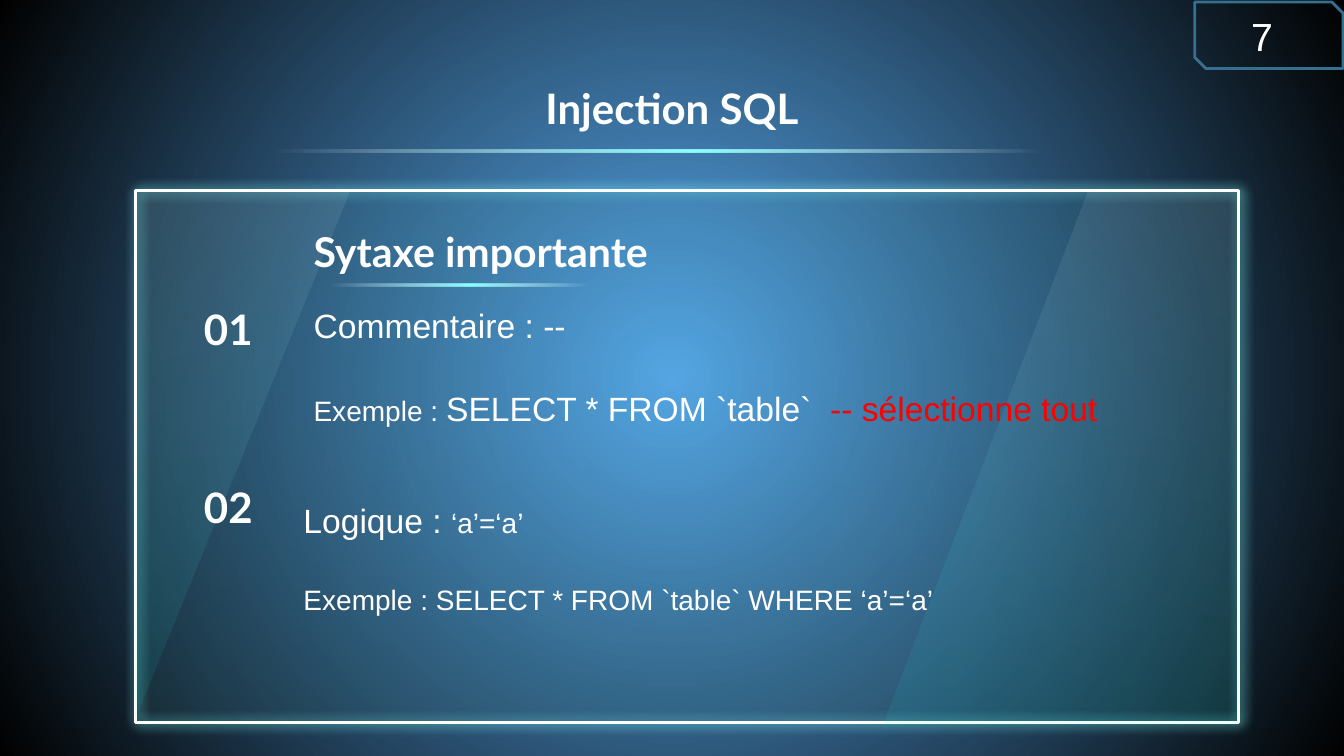
"""Build the "Injection SQL" slide with its glowing panel and two syntax notes."""
from pptx import Presentation
from pptx.dml.color import RGBColor
from pptx.enum.shapes import MSO_SHAPE
from pptx.enum.text import MSO_ANCHOR, MSO_AUTO_SIZE, PP_ALIGN
from pptx.oxml import parse_xml
from pptx.oxml.ns import nsdecls, qn
from pptx.util import Pt

PX = 9144
COLORS = {
    "white": "FFFFFF", "red": "FF0000", "sky": "58ABF1", "black": "010101",
    "navy": "0A3250", "cyan": "00FFFF", "aqua": "8CFFFF", "glow": "7EFFFF",
    "steel": "37708F",
}
CIRCLE = '<a:path path="circle"><a:fillToRect l="50000" t="50000" r="50000" b="50000"/></a:path>'


def gradient(stops, angle=None):
    marks = "".join(
        f'<a:gs pos="{place * 1000}"><a:srgbClr val="{COLORS[color]}">'
        f'<a:alpha val="{opacity * 1000}"/></a:srgbClr></a:gs>'
        for place, color, opacity in stops)
    course = CIRCLE if angle is None else f'<a:lin ang="{angle * 60000}" scaled="0"/>'
    return parse_xml(f'<a:gradFill {nsdecls("a")} rotWithShape="1">'
                     f'<a:gsLst>{marks}</a:gsLst>{course}</a:gradFill>')


def write(box, lines, inset=13, align=PP_ALIGN.LEFT, anchor=MSO_ANCHOR.TOP, gap=0, spacing=1.0):
    frame = box.text_frame
    frame.word_wrap = True
    frame.auto_size = MSO_AUTO_SIZE.NONE
    frame.vertical_anchor = anchor
    frame.margin_left = frame.margin_right = inset * PX
    frame.margin_top = frame.margin_bottom = min(inset, 13) * PX
    for number, runs in enumerate(lines):
        para = frame.add_paragraph() if number else frame.paragraphs[0]
        para.alignment = align
        para.line_spacing = spacing
        para.space_before = Pt(gap if number else 0)
        for text, size, font, color in runs:
            span = para.add_run()
            span.text = text
            span.font.size = Pt(size)
            span.font.name = font
            span.font.bold = font == "Lato"
            span.font.color.rgb = RGBColor.from_string(COLORS[color])


deck = Presentation()
deck.slide_width, deck.slide_height = 1333 * PX, 750 * PX
page = deck.slides.add_slide(deck.slide_layouts[5])
page.background.fill.solid()
backdrop = page.background._cSld.find(qn("p:bg")).find(qn("p:bgPr"))
backdrop.replace(backdrop.find(qn("a:solidFill")),
                 gradient([(0, "sky", 100), (100, "black", 100)]))

SHEEN = ([(0, "cyan", 8), (100, "white", 8)], 270)
PANEL_PARTS = [
    ([(134, 189), (1228, 189), (1228, 717), (134, 717)],
     ([(0, "navy", 8), (100, "black", 8)], 90)),
    ([(134, 189), (134, 713), (347, 189)], SHEEN),
    ([(1080, 189), (876, 719), (1228, 719), (1228, 189)], SHEEN),
]
panel = page.shapes.add_group_shape()
for number, (points, blend) in enumerate(PANEL_PARTS):
    builder = panel.shapes.build_freeform(*points[0], scale=PX)
    builder.add_line_segments(points[1:], close=True)
    part = builder.convert_to_shape()
    part.shadow.inherit = False
    part.fill.background()
    properties = part._element.spPr
    properties.replace(properties.find(qn("a:noFill")), gradient(*blend))
    if number:
        part.line.fill.background()
    else:
        part.line.color.rgb = RGBColor.from_string(COLORS["white"])
        part.line.width = Pt(2.25)
        properties.find(qn("a:effectLst")).append(parse_xml(
            f'<a:outerShdw {nsdecls("a")} blurRad="{Pt(9)}" dist="{Pt(1.5)}" dir="0" '
            f'algn="ctr" rotWithShape="0"><a:srgbClr val="{COLORS["glow"]}"/></a:outerShdw>'))

title = page.shapes.title
title.left, title.top, title.width, title.height = [n * PX for n in (105, 65, 1123, 84)]
write(title, [[("Injection SQL", 30, "Lato", "white")]],
      align=PP_ALIGN.CENTER, anchor=MSO_ANCHOR.MIDDLE)

HEADINGS = [
    ("Sytaxe importante", 29.3, (298, 211, 392, 77), PP_ALIGN.LEFT),
    ("01", 30, (165, 288, 123, 77), PP_ALIGN.CENTER),
    ("02", 30, (165, 464, 123, 77), PP_ALIGN.CENTER),
]
for text, size, place, align in HEADINGS:
    box = page.shapes.add_textbox(*[n * PX for n in place])
    write(box, [[(text, size, "Lato", "white")]], align=align, anchor=MSO_ANCHOR.MIDDLE)

NOTES = [
    ((298, 288, 879, 121), [
        [("Commentaire : --", 24, "Arial", "white")],
        [("Exemple : ", 20, "Arial", "white"),
         ("SELECT * FROM `table`  ", 24, "Arial", "white"),
         ("-- sélectionne tout", 24, "Arial", "red")]]),
    ((288, 481, 879, 121), [
        [("Logique : ", 24, "Arial", "white"), ("‘a’=‘a’", 20, "Arial", "white")],
        [("Exemple : SELECT * FROM `table` WHERE ‘a’=‘a’", 20, "Arial", "white")]]),
]
for place, lines in NOTES:
    box = page.shapes.add_textbox(*[n * PX for n in place])
    write(box, lines, gap=29, spacing=1.05)

BEAM = [(0, "white", 0), (11, "white", 0), (48, "aqua", 100), (92, "white", 0), (100, "white", 0)]
for place in [(303, 281, 315, 3), (197, 148, 939, 3)]:
    beam = page.shapes.add_shape(MSO_SHAPE.RECTANGLE, *[n * PX for n in place])
    beam.shadow.inherit = False
    beam.line.fill.background()
    beam.fill.background()
    properties = beam._element.spPr
    properties.replace(properties.find(qn("a:noFill")), gradient(BEAM, 180))

badge = page.shapes.add_shape(MSO_SHAPE.SNIP_2_DIAG_RECTANGLE,
                              *[n * PX for n in (1185, 2, 147, 66)])
badge.shadow.inherit = False
badge.fill.background()
badge.line.color.rgb = RGBColor.from_string(COLORS["steel"])
badge.line.width = Pt(2)
box = page.shapes.add_textbox(*[n * PX for n in (1231, 2, 55, 57)])
write(box, [[("7", 28, "Arial", "white")]], inset=10)

deck.save("out.pptx")
